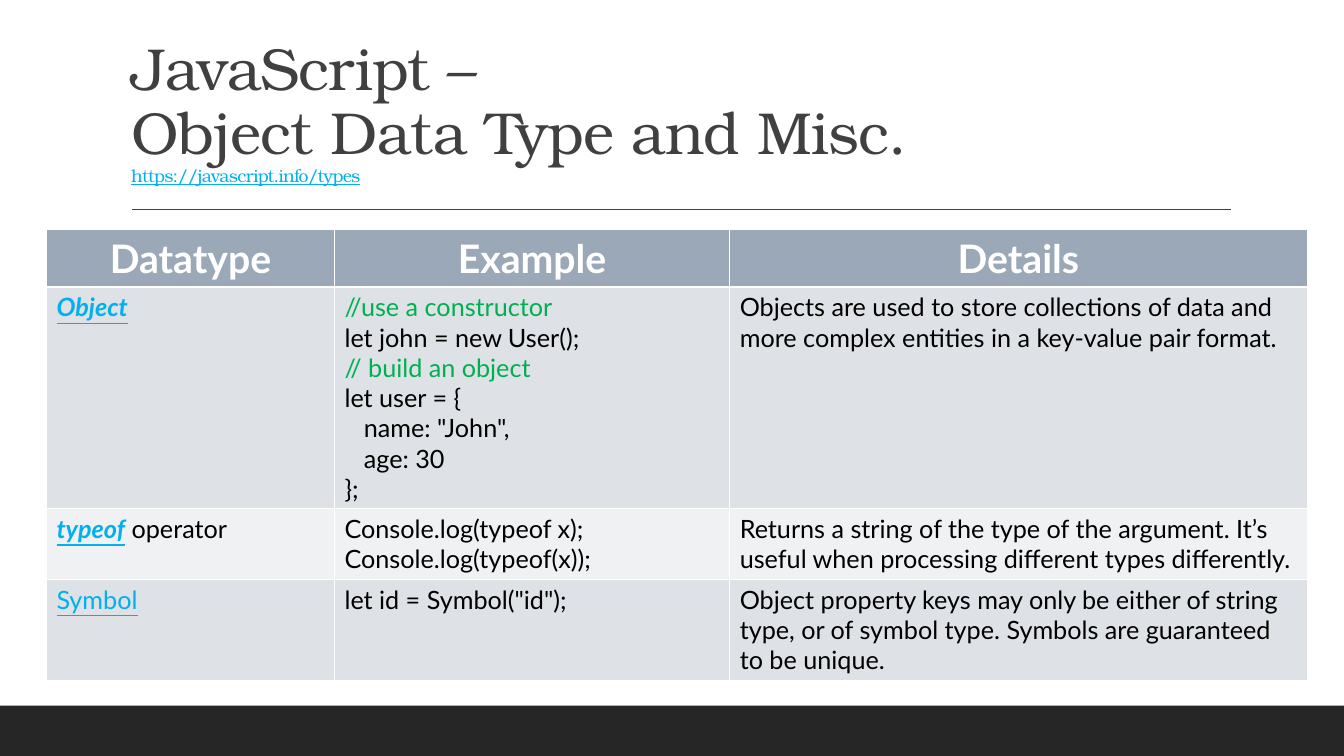
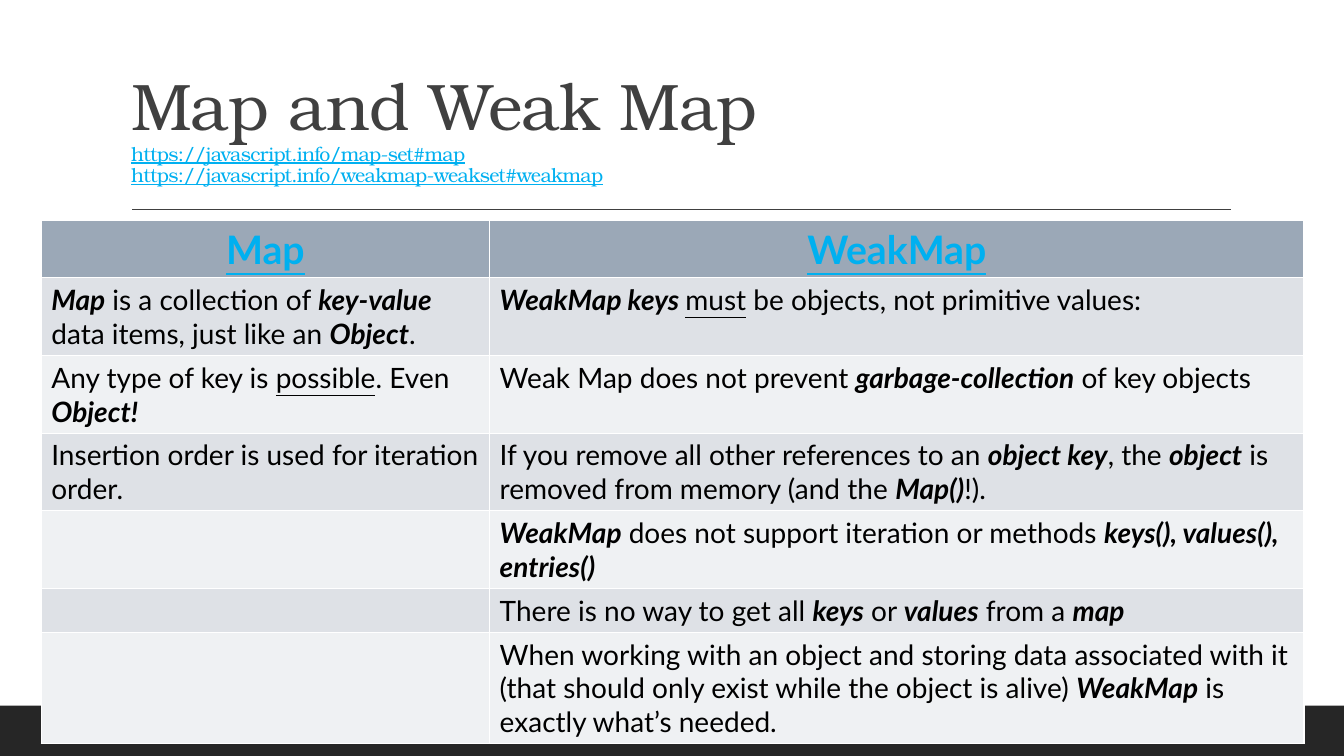
from lxml.etree import SubElement
from pptx import Presentation
from pptx.dml.color import RGBColor
from pptx.enum.shapes import MSO_CONNECTOR as Connector, MSO_SHAPE as Shape
from pptx.enum.text import MSO_ANCHOR as Anchor, MSO_AUTO_SIZE as AutoSize, PP_ALIGN as Align
from pptx.oxml.ns import qn
from pptx.util import Cm, Pt

BLACK = RGBColor(0x00, 0x00, 0x00)
WHITE = RGBColor(0xFF, 0xFF, 0xFF)
CHARCOAL = RGBColor(0x26, 0x26, 0x26)
GRAY = RGBColor(0x40, 0x40, 0x40)
SKY = RGBColor(0x00, 0xB0, 0xF0)
GREEN = RGBColor(0x00, 0xB0, 0x50)
HEADER_FILL = RGBColor(0x9B, 0xA8, 0xB7)
ROW_FILLS = RGBColor(0xDE, 0xE1, 0xE6), RGBColor(0xEF, 0xF1, 0xF3)

TITLE_FONT = "TeX Gyre Bonum"
TABLE_FONT = "Lato"

STRONG = {"bold": True, "italic": True}
UNDERLINED = {"underline": True}
LINK = {"color": SKY, "underline": True}
STRONG_LINK = {**LINK, **STRONG}
COMMENT = {"color": GREEN}

SLIDES = [
    {
        "title": ["JavaScript –", "Object Data Type and Misc."],
        "title_size": 42.3,
        "links": ["https://javascript.info/types"],
        "link_size": 12.6,
        "left": 1.17,
        "top": 5.79,
        "columns": [7.26, 9.96, 14.55],
        "body_size": 18,
        "header": ["Datatype", "Example", "Details"],
        "header_style": {"color": WHITE},
        "rows": [
            [
                [[("Object", STRONG_LINK)]],
                [
                    [("//use a constructor", COMMENT)],
                    ["let john = new User();"],
                    [("// build an object", COMMENT)],
                    ["let user = {"],
                    ['   name: "John",'],
                    ["   age: 30"],
                    ["};"],
                ],
                [["Objects are used to store collections of data and more complex "
                  "entities in a key-value pair format."]],
            ],
            [
                [[("typeof", STRONG_LINK), " operator"]],
                [["Console.log(typeof x);"], ["Console.log(typeof(x));"]],
                [["Returns a string of the type of the argument. It’s useful when "
                  "processing different types differently."]],
            ],
            [
                [[("Symbol", LINK)]],
                [['let id = Symbol("id");']],
                [["Object property keys may only be either of string type, or of "
                  "symbol type. Symbols are guaranteed to be unique."]],
            ],
        ],
    },
    {
        "title": ["Map and Weak Map"],
        "title_size": 47,
        "links": ["https://javascript.info/map-set#map",
                  "https://javascript.info/weakmap-weakset#weakmap"],
        "link_size": 14,
        "left": 1.04,
        "top": 5.56,
        "columns": [11.3, 20.52],
        "body_size": 20,
        "header": ["Map", "WeakMap"],
        "header_style": LINK,
        "rows": [
            [
                [[("Map", STRONG), " is a collection of ", ("key-value", STRONG),
                  " data items, just like an ", ("Object", STRONG), "."]],
                [[("WeakMap keys ", STRONG), ("must", UNDERLINED),
                  " be objects, not primitive values:"]],
            ],
            [
                [["Any type of key is ", ("possible", UNDERLINED), ". Even ",
                  ("Object!", STRONG)]],
                [["Weak Map does not prevent ", ("garbage-collection", STRONG),
                  " of key objects"]],
            ],
            [
                [["Insertion order is used for iteration order."]],
                [["If you remove all other references to an ", ("object key", STRONG),
                  ", the ", ("object", STRONG), " is removed from memory (and the ",
                  ("Map()", STRONG), "!)."]],
            ],
            [
                [],
                [[("WeakMap", STRONG), " does not support iteration or methods ",
                  ("keys(), values(), entries()", STRONG)]],
            ],
            [
                [],
                [["There is no way to get all ", ("keys", STRONG), " or ",
                  ("values", STRONG), " from a ", ("map", STRONG)]],
            ],
            [
                [],
                [["When working with an object and storing data associated with it "
                  "(that should only exist while the object is alive) ",
                  ("WeakMap", STRONG), " is exactly what’s needed."]],
            ],
        ],
    },
]


def format_run(run, style):
    for name, value in style.items():
        if name == "color":
            run.font.color.rgb = value
        else:
            setattr(run.font, name, value)


def write_lines(frame, lines, base, **layout):
    for index, line in enumerate(lines):
        paragraph = frame.paragraphs[0] if index == 0 else frame.add_paragraph()
        for name, value in layout.items():
            setattr(paragraph, name, value)
        for part in line:
            text, style = (part, {}) if isinstance(part, str) else part
            run = paragraph.add_run()
            run.text = text
            format_run(run, {**base, **style})


def decorate_layout(layout, slide):
    title = layout.placeholders[0]
    for name, value in {"left": 3.05, "top": 0.79, "width": 27.94, "height": 4.04}.items():
        setattr(title, name, Cm(value))
    title.text_frame.vertical_anchor = Anchor.BOTTOM

    band = slide.shapes.add_shape(Shape.RECTANGLE, 0, Cm(17.78), Cm(33.87), Cm(1.27))
    band.shadow.inherit = False
    band.fill.solid()
    band.fill.fore_color.rgb = CHARCOAL
    band.line.fill.background()

    rule = slide.shapes.add_connector(Connector.STRAIGHT, Cm(3.33), Cm(5.28), Cm(31.01), Cm(5.28))
    rule.line.color.rgb = GRAY
    rule.line.width = Pt(1)
    SubElement(rule.element.spPr, qn("a:effectLst"))

    tree = title.element.getparent()
    for position, part in enumerate((band, rule), start=2):
        tree.insert(position, part.element)


def write_title(slide, content):
    frame = slide.shapes.title.text_frame
    frame.auto_size = AutoSize.NONE
    frame.word_wrap = True
    frame.vertical_anchor = Anchor.BOTTOM
    link = {**LINK, "size": Pt(content["link_size"])}
    lines = [[text] for text in content["title"]]
    lines += [[(address, link)] for address in content["links"]]
    base = {"name": TITLE_FONT, "size": Pt(content["title_size"]), "color": GRAY}
    write_lines(frame, lines, base, alignment=Align.LEFT, line_spacing=0.9)
    for paragraph in frame.paragraphs:
        for run in paragraph.runs:
            run._r.get_or_add_rPr().set("spc", "-50")


def fill_cell(cell, color):
    cell.fill.solid()
    cell.fill.fore_color.rgb = color


def add_grid(slide, content):
    widths, rows = content["columns"], content["rows"]
    row_height = 1.04
    table = slide.shapes.add_table(
        len(rows) + 1, len(widths), Cm(content["left"]), Cm(content["top"]),
        Cm(sum(widths)), Cm(row_height * (len(rows) + 1))).table
    for column, width in zip(table.columns, widths):
        column.width = Cm(width)
    for row in table.rows:
        row.height = Cm(row_height)

    heading = {"name": TABLE_FONT, "size": Pt(28), "bold": True, **content["header_style"]}
    for column, text in enumerate(content["header"]):
        cell = table.cell(0, column)
        fill_cell(cell, HEADER_FILL)
        write_lines(cell.text_frame, [[text]], heading, alignment=Align.CENTER)

    body = {"name": TABLE_FONT, "size": Pt(content["body_size"]), "color": BLACK, "bold": False}
    for index, row in enumerate(rows):
        for column, lines in enumerate(row):
            cell = table.cell(index + 1, column)
            fill_cell(cell, ROW_FILLS[index % 2])
            write_lines(cell.text_frame, lines, body)


def main():
    deck = Presentation()
    deck.slide_width, deck.slide_height = Cm(33.87), Cm(19.05)
    layout = deck.slide_layouts[5]
    for index, content in enumerate(SLIDES):
        slide = deck.slides.add_slide(layout)
        if index == 0:
            decorate_layout(layout, slide)
        write_title(slide, content)
        add_grid(slide, content)
    deck.save("out.pptx")


if __name__ == "__main__":
    main()
